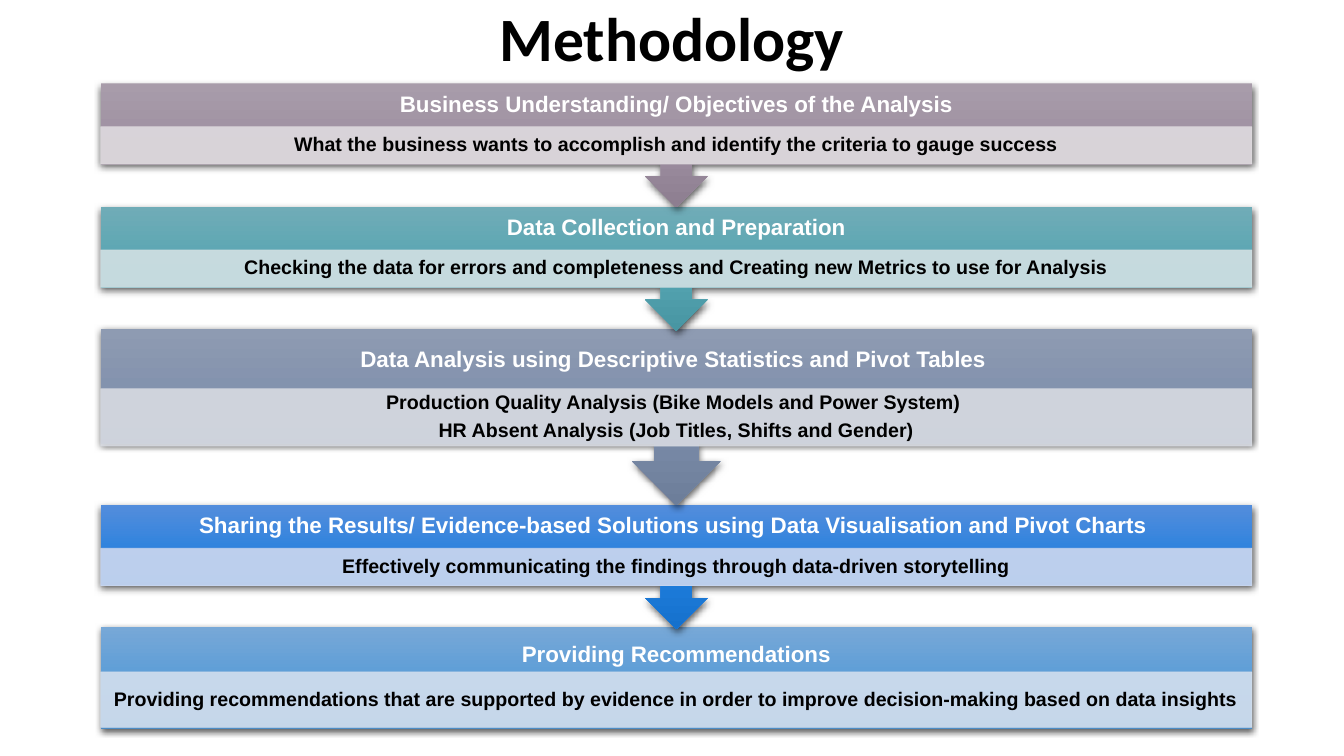
import pptx
import pptx.util
import pptx.dml.color
import pptx.enum.shapes
import pptx.enum.text
import pptx.oxml
import pptx.oxml.ns

Pt = pptx.util.Pt
RGB = pptx.dml.color.RGBColor.from_string
SHAPE = pptx.enum.shapes.MSO_SHAPE
A_NS = pptx.oxml.ns.nsdecls("a")

COLOURS = {
    "black": "000000",
    "white": "FFFFFF",
    # Gradient from top to bottom, then the pale detail strip
    "mauve": ("A89CAA", "9E8FA1", "8D7E90", "DFDBDF"),
    "teal": ("70ACB7", "56A5B2", "4896A3", "D2E0E3"),
    "slate": ("8E9BB2", "7D8EAB", "6D7E9A", "D8DBE2"),
    "blue": ("538DDC", "207FDE", "1571CD", "CDD8EF"),
    "sky": ("77A8D7", "5C9DD7", "4C8CC5", "D3DFEE"),
}
LEFT, WIDTH = 72, 822.2


def write(shape, lines, size, colour, font="Arial", inset=(8, 1.5), after=0.35):
    frame = shape.text_frame
    frame.word_wrap = True
    frame.auto_size = pptx.enum.text.MSO_AUTO_SIZE.NONE
    frame.vertical_anchor = pptx.enum.text.MSO_ANCHOR.MIDDLE
    frame.margin_left = frame.margin_right = Pt(inset[0])
    frame.margin_top = frame.margin_bottom = Pt(inset[1])
    for index, line in enumerate(lines):
        paragraph = frame.paragraphs[0] if index == 0 else frame.add_paragraph()
        paragraph.alignment = pptx.enum.text.PP_ALIGN.CENTER
        paragraph.line_spacing = 0.9
        paragraph.space_before = Pt(0)
        paragraph.space_after = Pt(size * after)
        run = paragraph.add_run()
        run.text = line
        run.font.name = font
        run.font.size = Pt(size)
        run.font.bold = True
        run.font.color.rgb = RGB(colour)


# Slide and title
deck = pptx.Presentation()
deck.slide_width, deck.slide_height = Pt(960), Pt(540)
slide = deck.slides.add_slide(deck.slide_layouts[5])
title = slide.shapes.title
title.left, title.top, title.width, title.height = Pt(66), Pt(0.7), Pt(828), Pt(58.3)
write(title, ["Methodology"], 44, COLOURS["black"], font="Calibri", inset=(7.2, 3.6), after=0)

# Steps: colour, top, height, heading height, detail offset, detail height, texts
steps = [
    ("mauve", 59.6, 88.6, 31, 31, 26.6,
     "Business Understanding/ Objectives of the Analysis",
     ["What the business wants to accomplish and identify the criteria to gauge success"]),
    ("teal", 147.6, 88.6, 31, 31, 26.6,
     "Data Collection and Preparation",
     ["Checking the data for errors and completeness and Creating new Metrics to use for Analysis"]),
    ("slate", 235, 126, 44.3, 42.7, 41,
     "Data Analysis using Descriptive Statistics and Pivot Tables ",
     ["Production Quality Analysis (Bike Models and Power System) ",
      "HR Absent Analysis (Job Titles, Shifts and Gender)"]),
    ("blue", 360.7, 88.6, 31, 31, 26.6,
     "Sharing the Results/ Evidence-based Solutions using Data Visualisation and Pivot Charts ",
     ["Effectively communicating the findings through data-driven storytelling"]),
    ("sky", 448, 72.7, 39.6, 32, 39.6,
     "Providing Recommendations",
     ["Providing recommendations that are supported by evidence in order to improve "
      "decision-making based on data insights"]),
]

# The lowest step lies at the back, so each arrow overlaps the step below it
flow = slide.shapes.add_group_shape().shapes
for step in reversed(steps):
    palette, top, height, heading_height, detail_offset, detail_height, heading, details = step
    *gradient, pale = COLOURS[palette]

    # Block with a downward arrow, except for the last step
    is_last = step is steps[-1]
    kind = SHAPE.RECTANGLE if is_last else SHAPE.UP_ARROW_CALLOUT
    block = flow.add_shape(kind, Pt(LEFT), Pt(top), Pt(WIDTH), Pt(height))
    block.rotation = 0 if is_last else 180
    block.line.fill.background()
    stops = "".join(f'<a:gs pos="{i * 50000}"><a:srgbClr val="{colour}"/></a:gs>'
                    for i, colour in enumerate(gradient))
    properties = block.element.spPr
    properties.insert(2, pptx.oxml.parse_xml(
        f'<a:gradFill {A_NS} rotWithShape="0"><a:gsLst>{stops}</a:gsLst>'
        '<a:lin ang="5400000" scaled="0"/></a:gradFill>'))
    properties.append(pptx.oxml.parse_xml(
        f'<a:effectLst {A_NS}><a:outerShdw blurRad="57150" dist="19050" dir="5400000" '
        f'algn="ctr" rotWithShape="0"><a:srgbClr val="{COLOURS["black"]}">'
        '<a:alpha val="63000"/></a:srgbClr></a:outerShdw></a:effectLst>'))

    # Heading on the coloured band
    band = flow.add_textbox(Pt(LEFT), Pt(top), Pt(WIDTH), Pt(heading_height))
    write(band, [heading], 16, COLOURS["white"], inset=(8.5, 8.5))

    # Pale strip with the detail
    strip = flow.add_shape(SHAPE.RECTANGLE, Pt(LEFT), Pt(top + detail_offset),
                           Pt(WIDTH), Pt(detail_height))
    strip.shadow.inherit = False
    strip.fill.solid()
    strip.fill.fore_color.rgb = RGB(pale)
    strip.line.color.rgb = RGB(pale)
    strip.line.width = Pt(0.5)
    for colour in strip.element.spPr.iter(pptx.oxml.ns.qn("a:srgbClr")):
        colour.append(pptx.oxml.parse_xml(f'<a:alpha {A_NS} val="90000"/>'))
    write(strip, details, 14, COLOURS["black"])

deck.save("out.pptx")
